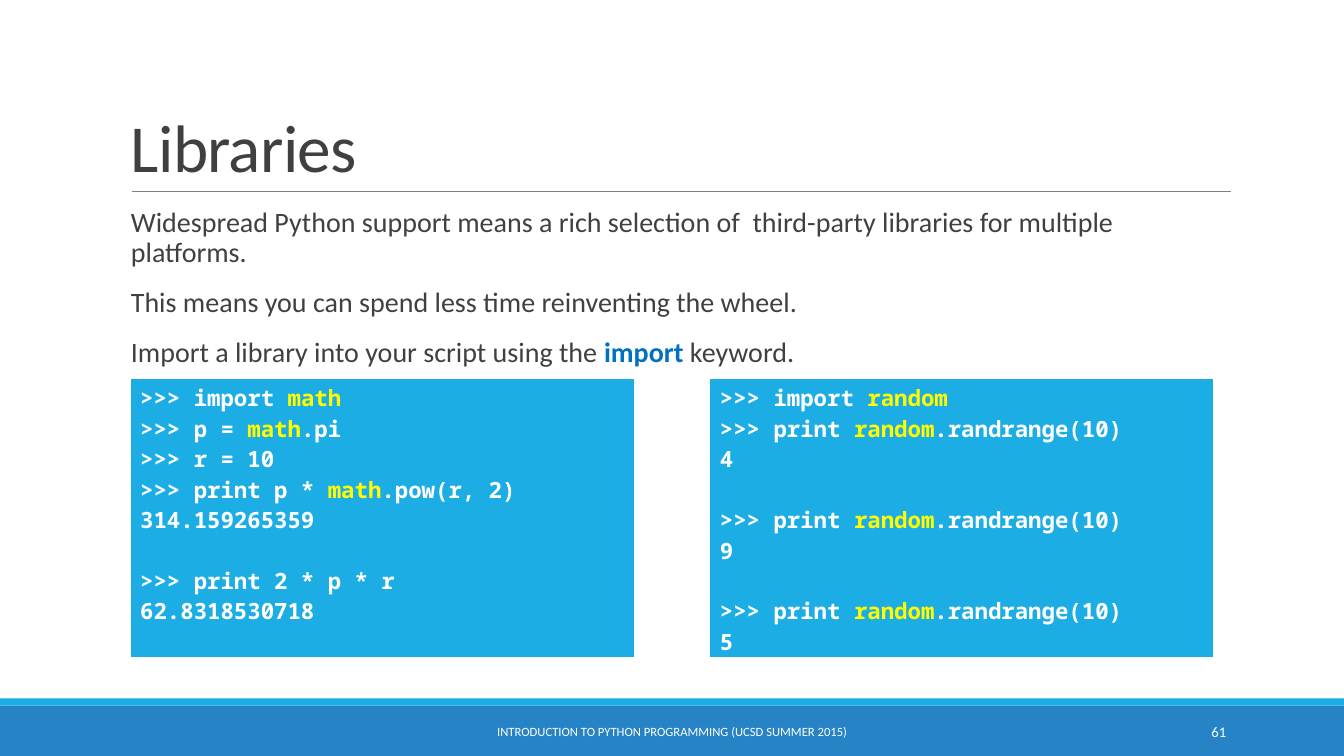
from lxml.etree import SubElement
from pptx import Presentation
from pptx.dml.color import RGBColor
from pptx.enum.shapes import MSO_CONNECTOR, MSO_SHAPE
from pptx.enum.text import MSO_ANCHOR, PP_ALIGN
from pptx.oxml import parse_xml
from pptx.oxml.ns import nsdecls, qn
from pptx.util import Inches, Pt

COLORS = {"text": "404040", "white": "FFFFFF", "cyan": "1CADE4", "blue": "2683C6",
          "rule": "808080", "keyword": "0070C0", "module": "FFFF00"}
FORMATS = {
    "title": {"name": "Calibri", "size": Pt(48), "color": "text"},
    "body": {"name": "Calibri", "size": Pt(20), "color": "text"},
    "keyword": {"name": "Calibri", "size": Pt(20), "bold": True, "color": "keyword"},
    "code": {"name": "Noto Sans Mono", "size": Pt(16), "bold": True, "color": "white"},
    "module": {"name": "Noto Sans Mono", "size": Pt(16), "bold": True, "color": "module"},
    "number": {"name": "Calibri", "size": Pt(10.5), "color": "white"},
    "footer": {"name": "Calibri", "size": Pt(9), "color": "white"},
}
BODY = [
    "Widespread Python support means a rich selection of  third-party libraries for multiple platforms.",
    "This means you can spend less time reinventing the wheel.",
    "Import a library into your script using the import keyword.",
]
MATH_CODE = [
    [">>> import math", ">>> p = math.pi", ">>> r = 10", ">>> print p * math.pow(r, 2)",
     "314.159265359"],
    [">>> print 2 * p * r", "62.8318530718"],
]
RANDOM_CODE = [
    [">>> import random", ">>> print random.randrange(10)", "4"],
    [">>> print random.randrange(10)", "9"],
    [">>> print random.randrange(10)", "5"],
]
CODE_LINE = Pt(21.8)


def rgb(name):
    """Return the named colour."""
    return RGBColor.from_string(COLORS[name])


def add_run(p, text, style):
    """Add a run of text in a named format."""
    r = p.add_run()
    r.text = text
    for key, value in FORMATS[style].items():
        if key == "color":
            r.font.color.rgb = rgb(value)
        else:
            setattr(r.font, key, value)
    return r


def add_marked(p, line, word, style, mark):
    """Add a line with one word set in the marking format."""
    before, found, after = line.partition(word)
    for text, name in ((before, style), (found, mark), (after, style)):
        if text:
            add_run(p, text, name)


def add_box(s, left, top, width, height, anchor):
    """Add a wrapping text box and return its frame."""
    tf = s.shapes.add_textbox(Inches(left), Inches(top), Inches(width), Inches(height)).text_frame
    tf.word_wrap = True
    tf.vertical_anchor = anchor
    return tf


def add_title(s, left, top, width, height, text):
    """Place the title with the rule below it."""
    tf = add_box(s, left, top, width, height, MSO_ANCHOR.BOTTOM)
    p = tf.paragraphs[0]
    p.line_spacing = 0.85
    r = add_run(p, text, "title")
    r.font._element.set("spc", "-50")
    y = Inches(top + height)
    rule = s.shapes.add_connector(MSO_CONNECTOR.STRAIGHT, Inches(left + 0.11), y,
                                  Inches(left + width + 0.01), y)
    rule.line.color.rgb = rgb("rule")
    rule.line.width = Pt(0.5)
    SubElement(rule._element.spPr, qn("a:effectLst"))


def add_body(s, left, top, width, height):
    """Place the body paragraphs."""
    tf = add_box(s, left, top, width, height, MSO_ANCHOR.TOP)
    tf.margin_left, tf.margin_right = Inches(0.1), 0
    for i, line in enumerate(BODY):
        p = tf.add_paragraph() if i else tf.paragraphs[0]
        p.line_spacing = 0.9
        p.space_after = Pt(2)
        if i:
            p.space_before = Pt(12)
        add_marked(p, line, "import", "body", "keyword")


def add_code(s, left, top, width, height, blocks, module):
    """Place a one-cell table of code with its module name marked."""
    table = s.shapes.add_table(1, 1, Inches(left), Inches(top), Inches(width), Inches(height)).table
    table.first_row = table.horz_banding = False
    cell = table.cell(0, 0)
    cell.fill.solid()
    cell.fill.fore_color.rgb = rgb("cyan")
    for i, (side, width) in enumerate((("L", 1), ("R", 1), ("T", 1), ("B", 3))):
        cell._tc.tcPr.insert(i, parse_xml(
            f'<a:ln{side} {nsdecls("a")} w="{Pt(width)}"><a:solidFill>'
            f'<a:srgbClr val="{COLORS["white"]}"/></a:solidFill></a:ln{side}>'))
    tf = cell.text_frame
    for b, block in enumerate(blocks):
        for i, line in enumerate(block):
            p = tf.add_paragraph() if b or i else tf.paragraphs[0]
            if b and not i:
                p.space_before = CODE_LINE
            add_marked(p, line, module, "code", "module")


def add_footer(s, left, top, width, height):
    """Place the two footer bars with the course name and page number."""
    strip = 0.07
    for y, h, color in ((top + strip, height - strip, "blue"), (top, strip, "cyan")):
        sp = s.shapes.add_shape(MSO_SHAPE.RECTANGLE, Inches(left), Inches(y), Inches(width), Inches(h))
        sp.shadow.inherit = False
        sp.fill.solid()
        sp.fill.fore_color.rgb = rgb(color)
        sp.line.fill.background()
    for x, w, text, style, align in (
            (10.83, 1.43, "61", "number", PP_ALIGN.RIGHT),
            (4.03, 5.27, "INTRODUCTION TO PYTHON PROGRAMMING (UCSD SUMMER 2015)", "footer",
             PP_ALIGN.CENTER)):
        tf = add_box(s, left + x, top + 0.13, w, 0.4, MSO_ANCHOR.MIDDLE)
        p = tf.paragraphs[0]
        p.alignment = align
        add_run(p, text, style)


def main():
    """Build and save the slide."""
    prs = Presentation()
    prs.slide_width, prs.slide_height = Inches(13.33), Inches(7.5)
    s = prs.slides.add_slide(prs.slide_layouts[6])
    add_footer(s, 0, 6.93, 13.33, 0.57)
    add_title(s, 1.2, 0.31, 11, 1.59, "Libraries")
    add_body(s, 1.2, 2.02, 11, 4.4)
    add_code(s, 1.29, 3.75, 5, 2.79, MATH_CODE, "math")
    add_code(s, 7.04, 3.75, 5, 2.79, RANDOM_CODE, "random")
    prs.save("out.pptx")


if __name__ == "__main__":
    main()
